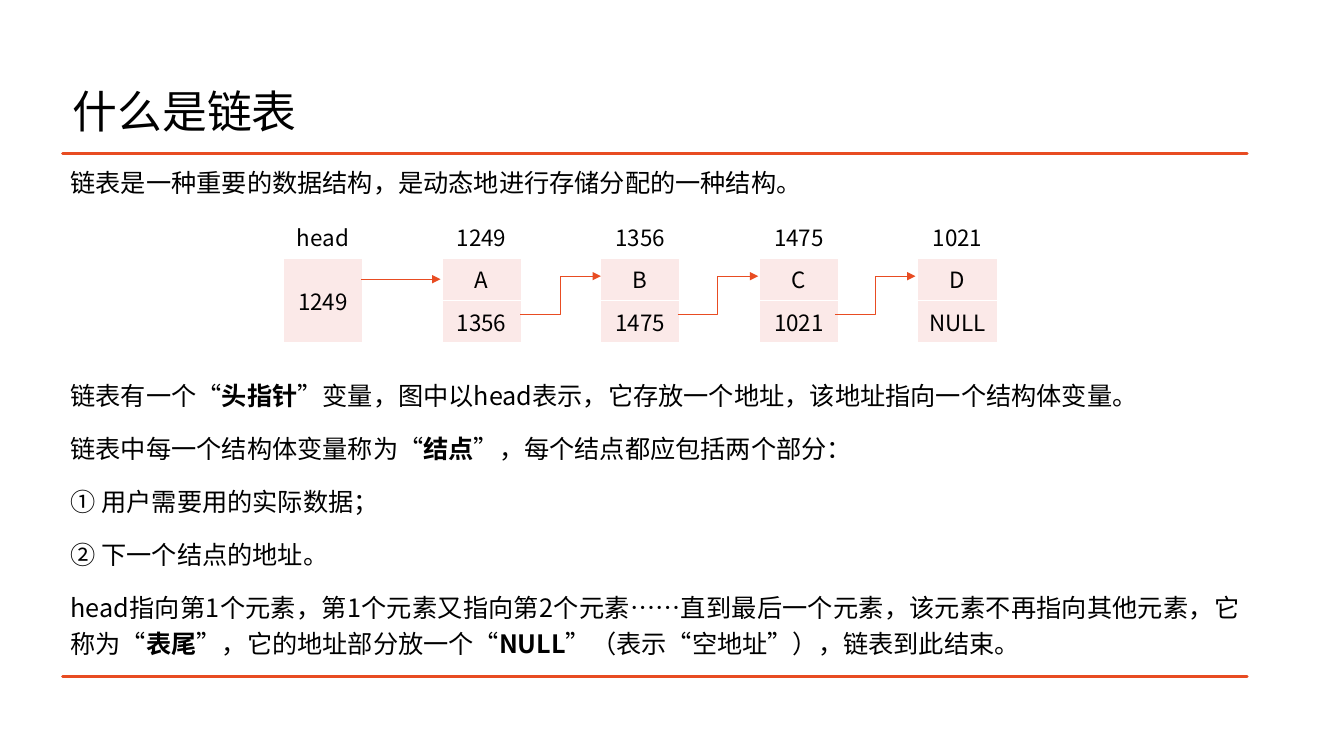
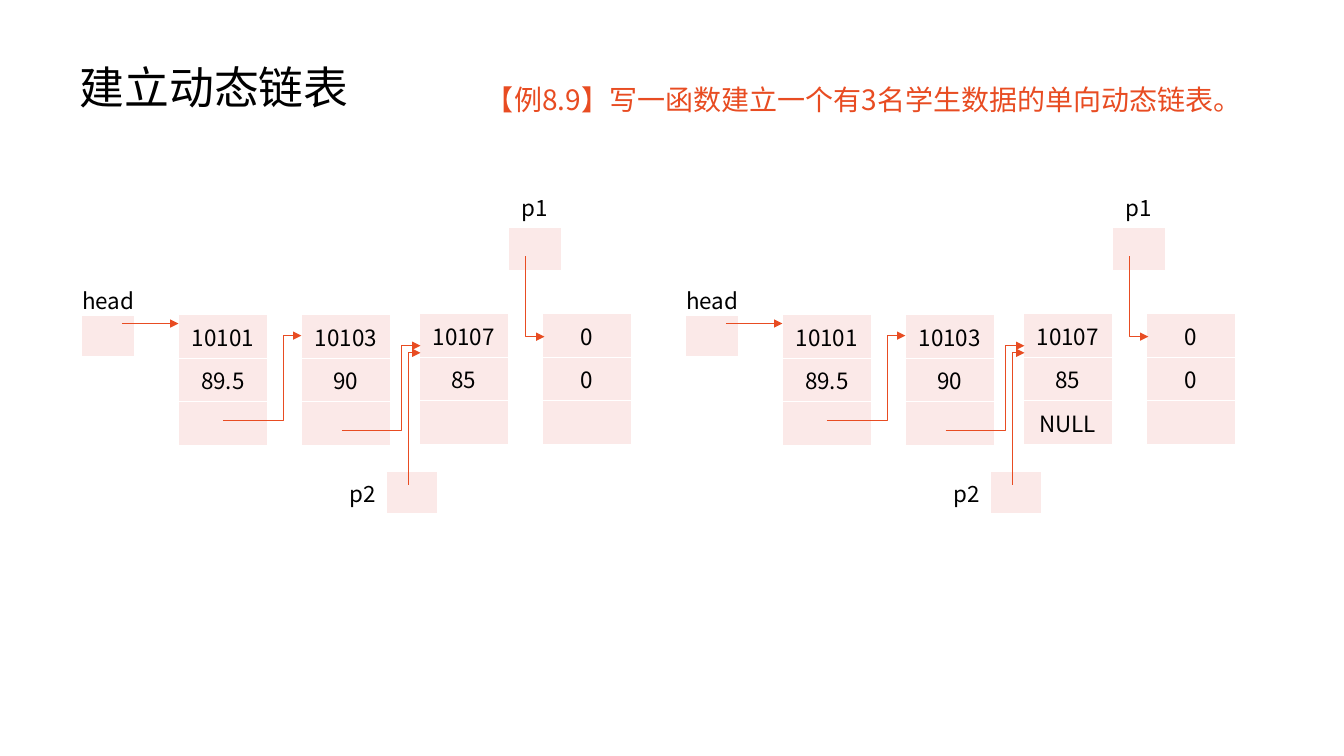
from pptx import Presentation
from pptx.dml.color import RGBColor
from pptx.enum.shapes import MSO_CONNECTOR
from pptx.enum.text import MSO_ANCHOR, MSO_AUTO_SIZE, PP_ALIGN
from pptx.oxml.ns import qn
from pptx.util import Inches, Pt
from lxml import etree

MID, TOP, BOTTOM = MSO_ANCHOR.MIDDLE, MSO_ANCHOR.TOP, MSO_ANCHOR.BOTTOM
LEFT, CENTER, RIGHT, JUSTIFY = PP_ALIGN.LEFT, PP_ALIGN.CENTER, PP_ALIGN.RIGHT, PP_ALIGN.JUSTIFY
STRAIGHT, ELBOW = MSO_CONNECTOR.STRAIGHT, MSO_CONNECTOR.ELBOW
NO_FIT = MSO_AUTO_SIZE.NONE

FONT = "Noto Sans CJK SC"
BLACK, WHITE, ACCENT, PINK = "000000", "FFFFFF", "E84C22", "FBE9E8"
PLAIN_STYLE = "{2D5ABB26-0587-4C30-8999-92F81FD0307C}"

INTRO = [
    [("链表是一种重要的数据结构\uff0c是动态地进行存储分配的一种结构。", False)],
    [("链表有一个“", False), ("头指针", True),
     ("”变量\uff0c图中以head表示\uff0c它存放一个地址\uff0c该地址指向一个结构体变量。", False)],
    [("链表中每一个结构体变量称为“", False), ("结点", True),
     ("”\uff0c每个结点都应包括两个部分\uff1a", False)],
    [("① 用户需要用的实际数据\uff1b", False)],
    [("② 下一个结点的地址。", False)],
    [("head指向第1个元素\uff0c第1个元素又指向第2个元素……直到最后一个元素\uff0c"
      "该元素不再指向其他元素\uff0c它称为“", False), ("表尾", True),
     ("”\uff0c它的地址部分放一个“", False), ("NULL", True),
     ("”\uff08表示“空地址”\uff09\uff0c链表到此结束。", False)],
]
CHAIN = [
    ["head", None, "1249", None, "1356", None, "1475", None, "1021"],
    ["1249", None, "A", None, "B", None, "C", None, "D"],
    ["", None, "1356", None, "1475", None, "1021", None, "NULL"],
]
TASK = [[("【例8.9】写一函数建立一个有3名学生数据的单向动态链表。", False)]]
NODES = [
    (1.77, 3.12, "10101", "89.5"),
    (2.99, 3.12, "10103", "90"),
    (4.16, 3.11, "10107", "85"),
    (5.38, 3.11, "0", "0"),
]
HEAD = [["head"], [""], [None], [None], [None], [None]]
HEAD_ROWS = [0.41, 0.41, 0.08, 0.41, 0.08, 0.41]
LINKS = [
    [(2.21, 4.17), (2.81, 4.17), (2.81, 3.33), (2.99, 3.33)],
    [(4.05, 4.81), (4.05, 3.5), (4.17, 3.5)],
    [(3.39, 4.27), (3.98, 4.27), (3.98, 3.43), (4.17, 3.43)],
    [(5.21, 2.54), (5.21, 3.34), (5.4, 3.34)],
]
STAGES = [(0, ""), (5.99, "NULL")]


def rgb(value):
    return RGBColor.from_string(value)


def write(para, text, size, color=BLACK, bold=False):
    run = para.add_run()
    run.text = text
    font = run.font
    font.name, font.size, font.bold = FONT, Pt(size), bold
    font.color.rgb = rgb(color)
    props = run._r.get_or_add_rPr()
    props.set("lang", "zh-CN")
    etree.SubElement(props, qn("a:ea")).set("typeface", FONT)


def place(shape, x, y, w, h, anchor):
    shape.left, shape.top = Inches(x), Inches(y)
    shape.width, shape.height = Inches(w), Inches(h)
    frame = shape.text_frame
    frame.word_wrap, frame.auto_size = True, NO_FIT
    frame.vertical_anchor = anchor
    return frame


def start(deck, title, x, y):
    slide = deck.slides.add_slide(deck.slide_layouts[1])
    para = place(slide.shapes.title, x, y, 11.5, 1.04, MID).paragraphs[0]
    para.alignment, para.line_spacing = LEFT, 0.9
    write(para, title, 32)
    return slide


def fill_body(slide, box, items, size, color, align, before, after, inset):
    frame = place(slide.placeholders[1], *box, TOP)
    frame.margin_left = frame.margin_right = Inches(inset)
    for i, runs in enumerate(items):
        para = frame.add_paragraph() if i else frame.paragraphs[0]
        para.alignment, para.line_spacing = align, 1.2
        para.space_before, para.space_after = Pt(before), Pt(after)
        props = para._p.get_or_add_pPr()
        props.set("marL", "0")
        props.set("indent", "0")
        etree.SubElement(props, qn("a:buNone"))
        for text, bold in runs:
            write(para, text, size, color, bold)
    return frame


def edge(cell):
    props = cell._tc.get_or_add_tcPr()
    for i, side in enumerate(("lnL", "lnR", "lnT", "lnB")):
        line = etree.Element(qn("a:" + side), w=str(Pt(1)))
        solid = etree.SubElement(line, qn("a:solidFill"))
        etree.SubElement(solid, qn("a:srgbClr")).set("val", WHITE)
        props.insert(i, line)


def grid(slide, x, y, widths, heights, rows, labels=(), align=CENTER, anchor=MID, pad=0):
    frame = slide.shapes.add_table(len(rows), len(widths), Inches(x), Inches(y),
                                   Inches(sum(widths)), Inches(sum(heights)))
    table = frame.table
    table.first_row = table.horz_banding = False
    table._tbl.tblPr.find(qn("a:tableStyleId")).text = PLAIN_STYLE
    for col, width in zip(table.columns, widths):
        col.width = Inches(width)
    for row, height in zip(table.rows, heights):
        row.height = Inches(height)
    for r, row in enumerate(rows):
        for c, text in enumerate(row):
            cell = table.cell(r, c)
            cell.margin_left = cell.margin_right = Inches(pad)
            cell.margin_top = cell.margin_bottom = 0
            cell.vertical_anchor = anchor
            if text is None or (r, c) in labels:
                cell.fill.background()
            else:
                cell.fill.solid()
                cell.fill.fore_color.rgb = rgb(PINK)
                edge(cell)
            if text:
                para = cell.text_frame.paragraphs[0]
                para.alignment = align
                write(para, text, 16)
    return table


def ink(shape, width, arrow):
    shape.line.color.rgb = rgb(ACCENT)
    shape.line.width = Pt(width)
    props = shape._element.spPr
    if arrow:
        etree.SubElement(props.find(qn("a:ln")), qn("a:tailEnd")).set("type", "triangle")
    if props.find(qn("a:effectLst")) is None:
        etree.SubElement(props, qn("a:effectLst"))


def join(slide, kind, x1, y1, x2, y2):
    line = slide.shapes.add_connector(kind, Inches(x1), Inches(y1), Inches(x2), Inches(y2))
    ink(line, 0.5, True)


def route(slide, points, dx):
    spots = [(Inches(x + dx), Inches(y)) for x, y in points]
    pen = slide.shapes.build_freeform(*spots[0])
    pen.add_line_segments(spots[1:], close=False)
    shape = pen.convert_to_shape()
    shape.fill.background()
    ink(shape, 0.5, True)


def rule(slide, left, right, top, bottom):
    x1, x2, y1, y2 = (Inches(v) for v in (left, right, top, bottom))
    pen = slide.shapes.build_freeform(x1, y2)
    pen.add_line_segments([(x2, y2), (x1, y2)], close=False)
    pen.move_to(x1, y1)
    pen.add_line_segments([(x2, y1), (x1, y1)], close=True)
    shape = pen.convert_to_shape()
    shape.fill.background()
    ink(shape, 2, False)


def show_chain(deck):
    slide = start(deck, "什么是链表", 0.62, 0.61)
    rule(slide, 0.62, 12.37, 1.52, 6.71)
    frame = fill_body(slide, (0.62, 1.52, 11.76, 5.18), INTRO, 18, BLACK, JUSTIFY, 6, 6, 0.08)
    frame.margin_top = frame.margin_bottom = Inches(0.08)
    frame.paragraphs[1].space_before = Pt(120)
    count = len(CHAIN[0])
    table = grid(slide, 2.81, 2.14, [7.08 / count] * count, [0.42] * 3, CHAIN,
                 [(0, c) for c in range(count)])
    table.cell(1, 0).merge(table.cell(2, 0))
    join(slide, STRAIGHT, 3.58, 2.77, 4.37, 2.77)
    for i in range(3):
        x = 5.16 + i * 1.56
        join(slide, ELBOW, x, 3.12, x + 0.8, 2.74)


def show_build(deck):
    slide = start(deck, "建立动态链表", 0.69, 0.37)
    fill_body(slide, (4.72, 0.7, 7.79, 0.6), TASK, 20, ACCENT, LEFT, 10, 0, 0.1)
    label = [(0, 0)]
    for dx, last in STAGES:
        for i, (x, y, code, score) in enumerate(NODES):
            tail = last if i == 2 else ""
            grid(slide, x + dx, y, [0.88], [1.3 / 3] * 3, [[code], [score], [tail]])
        grid(slide, 0.81 + dx, 2.72, [0.53], HEAD_ROWS, HEAD, label, anchor=BOTTOM)
        grid(slide, 5.04 + dx, 1.84, [0.53], [0.42] * 2, [["p1"], [""]], label)
        grid(slide, 3.28 + dx, 4.68, [0.55, 0.51], [0.42], [["p2", ""]], label, RIGHT, pad=0.1)
        join(slide, STRAIGHT, 1.21 + dx, 3.21, 1.77 + dx, 3.21)
        for points in LINKS:
            route(slide, points, dx)


deck = Presentation()
deck.slide_width, deck.slide_height = Inches(13.33), Inches(7.5)
show_chain(deck)
show_build(deck)
deck.save("out.pptx")
